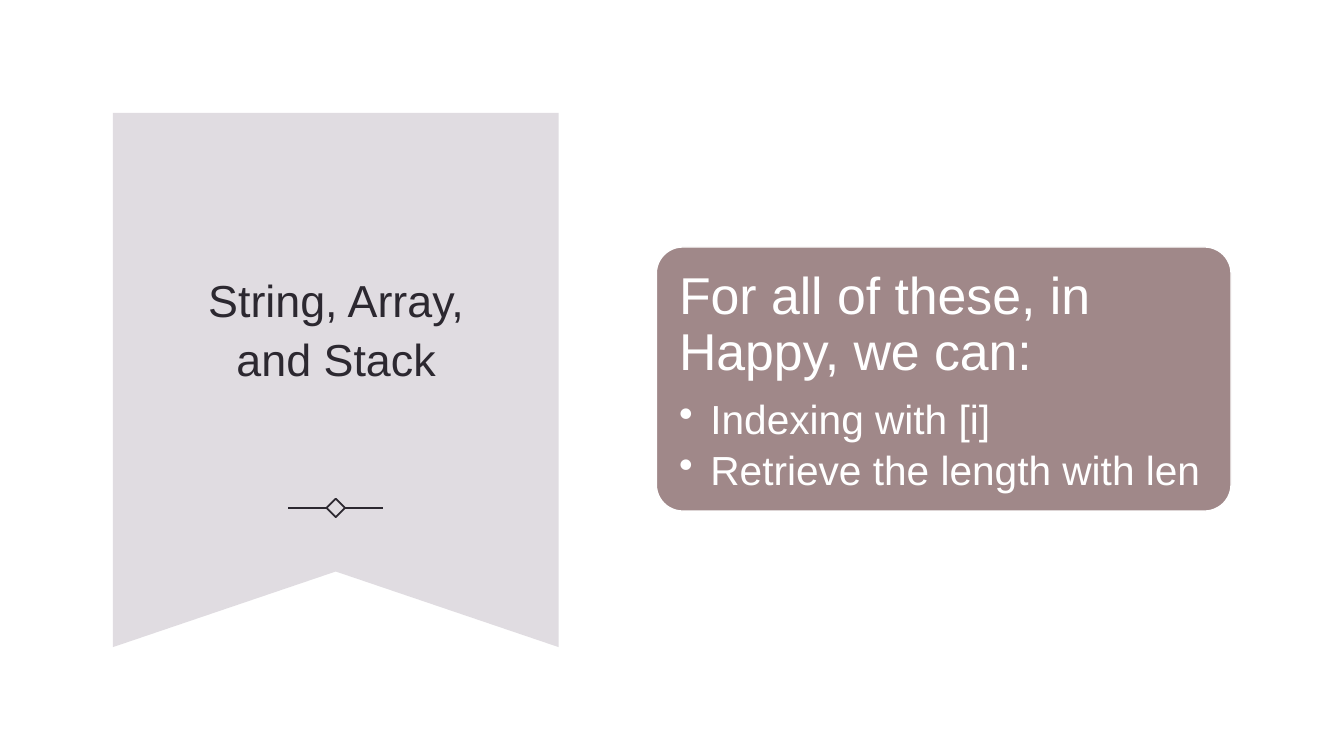
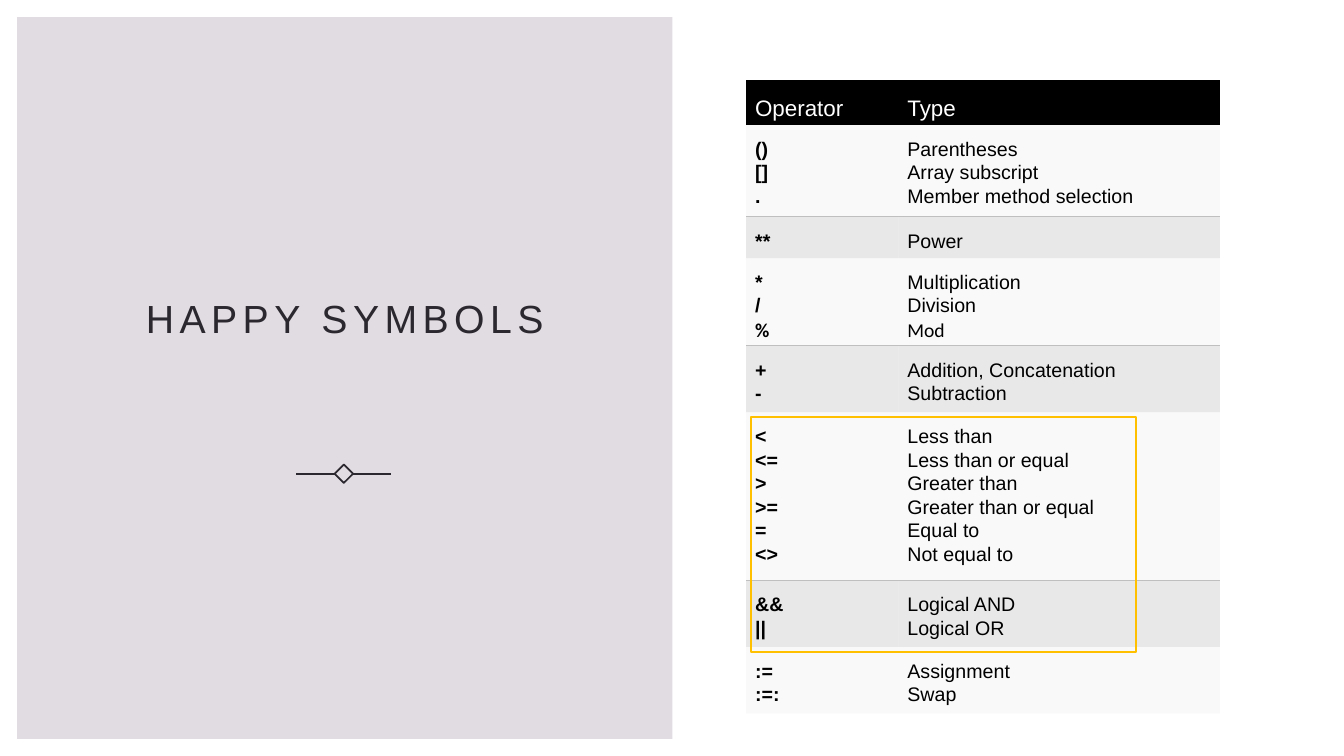
from lxml.etree import SubElement
from pptx import Presentation
from pptx.dml.color import RGBColor
from pptx.enum.shapes import MSO_CONNECTOR, MSO_SHAPE
from pptx.enum.text import MSO_ANCHOR, PP_ALIGN
from pptx.oxml.ns import qn
from pptx.util import Inches, Pt

WHITE = RGBColor(0xFF, 0xFF, 0xFF)
BLACK = RGBColor(0x00, 0x00, 0x00)
INK = RGBColor(0x2C, 0x28, 0x30)
LILAC = RGBColor(0xE0, 0xDC, 0xE1)
MAUVE = RGBColor(0xA0, 0x88, 0x89)
GOLD = RGBColor(0xFF, 0xC0, 0x00)
PALE = RGBColor(0xF2, 0xF2, 0xF2)
GREY = RGBColor(0xBF, 0xBF, 0xBF)
FONT = "Arial"
NO_GRID = "{2D5ABB26-0587-4C30-8999-92F81FD0307C}"

deck = Presentation()
deck.slide_width, deck.slide_height = Inches(13.33), Inches(7.5)
strings_page, symbols_page = [
    deck.slides.add_slide(deck.slide_layouts[6]) for _ in range(2)]


def paint(shape, fill=None, line=None, width=1):
    shape.shadow.inherit = False
    if fill is None:
        shape.fill.background()
    else:
        shape.fill.solid()
        shape.fill.fore_color.rgb = fill
    if line is None:
        shape.line.fill.background()
    else:
        shape.line.color.rgb = line
        shape.line.width = Pt(width)


def write(para, text, size, color, bold=False, spacing=1.0):
    para.text = text
    para.line_spacing = spacing
    para.font.name = FONT
    para.font.size = Pt(size)
    para.font.color.rgb = color
    para.font.bold = bold


left, top, right, bottom, notch = [Inches(n) for n in (1.12, 1.12, 5.54, 6.42, 5.67)]
builder = strings_page.shapes.build_freeform(left, top)
builder.add_line_segments(
    [(right, top), (right, bottom), ((left + right) // 2, notch), (left, bottom)])
paint(builder.convert_to_shape(), LILAC)

panel = symbols_page.shapes.add_shape(
    MSO_SHAPE.RECTANGLE, Inches(0.17), Inches(0.17), Inches(6.5), Inches(7.16))
paint(panel, LILAC)

headings = [
    (strings_page, "String, Array, and Stack", 32, 0,
     (1.56, 1.81, 3.55, 2.85), MSO_ANCHOR.MIDDLE, (3.33, 5.04)),
    (symbols_page, "HAPPY SYMBOLS", 28, 390,
     (0.93, 1.17, 4.98, 2.27), MSO_ANCHOR.BOTTOM, (3.41, 4.7)),
]
for page, title, size, tracking, area, anchor, (center, level) in headings:
    box = page.shapes.add_textbox(*[Inches(n) for n in area])
    box.text_frame.word_wrap = True
    box.text_frame.vertical_anchor = anchor
    para = box.text_frame.paragraphs[0]
    write(para, title, size, INK, spacing=1.1)
    para.alignment = PP_ALIGN.CENTER
    para.runs[0].font._element.set("spc", str(tracking))

    side = 0.13
    diamond = page.shapes.add_shape(
        MSO_SHAPE.RECTANGLE, Inches(center - side / 2), Inches(level - side / 2),
        Inches(side), Inches(side))
    diamond.rotation = 45
    paint(diamond, line=INK, width=1.25)
    for direction in (-1, 1):
        rule = page.shapes.add_connector(
            MSO_CONNECTOR.STRAIGHT,
            Inches(center + direction * 0.09), Inches(level),
            Inches(center + direction * 0.47), Inches(level))
        rule.line.color.rgb = INK
        rule.line.width = Pt(1.25)
        SubElement(rule._element.spPr, qn("a:effectLst"))

card = strings_page.shapes.add_shape(
    MSO_SHAPE.ROUNDED_RECTANGLE, Inches(6.51), Inches(2.45), Inches(5.7), Inches(2.62))
card.adjustments[0] = 0.1
paint(card, MAUVE, WHITE)
frame = card.text_frame
frame.word_wrap = True
frame.vertical_anchor = MSO_ANCHOR.TOP
frame.margin_left = frame.margin_right = Inches(0.15)
frame.margin_top = frame.margin_bottom = Inches(0.15)
lead = frame.paragraphs[0]
write(lead, "For all of these, in Happy, we can:", 37, WHITE, spacing=0.9)
lead.alignment = PP_ALIGN.LEFT
lead.space_after = Pt(13)
for point in ("Indexing with [i]", "Retrieve the length with len"):
    para = frame.add_paragraph()
    write(para, point, 29, WHITE, spacing=0.9)
    para.alignment = PP_ALIGN.LEFT
    para.level = 1
    para.space_after = Pt(4.5)
    properties = para._p.get_or_add_pPr()
    properties.set("marL", str(Inches(0.31)))
    properties.set("indent", str(-Inches(0.31)))
    SubElement(properties, qn("a:buChar")).set("char", "•")

operators = [
    (0.45, ["Operator"], ["Type"]),
    (0.91, ["()", "[]", "."],
     ["Parentheses", "Array subscript", "Member method selection"]),
    (0.41, ["**"], ["Power"]),
    (0.84, ["*", "/", "%"], ["Multiplication", "Division", "Mod"]),
    (0.66, ["+", "-"], ["Addition, Concatenation", "Subtraction"]),
    (1.67, ["<", "<=", ">", ">=", "=", "<>"],
     ["Less than", "Less than or equal", "Greater than",
      "Greater than or equal", "Equal to", "Not equal to"]),
    (0.66, ["&&", "||"], ["Logical AND", "Logical OR"]),
    (0.66, [":=", ":=:"], ["Assignment", "Swap"]),
]
ruled_rows = (1, 3, 5)
table = symbols_page.shapes.add_table(
    len(operators), 2, Inches(7.4), Inches(0.79), Inches(4.7),
    Inches(sum(height for height, *_ in operators))).table
table.first_row = table.horz_banding = False
table._tbl.tblPr.find(qn("a:tableStyleId")).text = NO_GRID
for column, width in zip(table.columns, (1.51, 3.19)):
    column.width = Inches(width)

for row, (height, *columns) in enumerate(operators):
    table.rows[row].height = Inches(height)
    header = row == 0
    fill, opacity = (BLACK, 100) if header else (PALE, 45) if row % 2 else (GREY, 35)
    for column, lines in enumerate(columns):
        cell = table.cell(row, column)
        cell.margin_left = cell.margin_right = Inches(0.09)
        cell.margin_top, cell.margin_bottom = Inches(0.12), 0
        cell.vertical_anchor = MSO_ANCHOR.MIDDLE if header else MSO_ANCHOR.TOP
        for index, text in enumerate(lines):
            para = cell.text_frame.add_paragraph() if index else cell.text_frame.paragraphs[0]
            write(para, text, 16 if header else 14, WHITE if header else BLACK,
                  bold=column == 0 and not header, spacing=1.07)
            if text in ("%", "Mod"):
                para.font.name = "Calibri"
        properties = cell._tc.get_or_add_tcPr()
        if row in ruled_rows:
            border = SubElement(properties, qn("a:lnB"), w=str(Pt(1)))
            ink = SubElement(border, qn("a:solidFill"))
            SubElement(ink, qn("a:srgbClr"), val=str(GREY))
        cell.fill.solid()
        cell.fill.fore_color.rgb = fill
        shade = properties.find(qn("a:solidFill")).find(qn("a:srgbClr"))
        SubElement(shade, qn("a:alpha"), val=str(opacity * 1000))

highlight = symbols_page.shapes.add_shape(
    MSO_SHAPE.RECTANGLE, Inches(7.45), Inches(4.14), Inches(3.82), Inches(2.33))
paint(highlight, line=GOLD, width=1.5)

deck.save("out.pptx")
